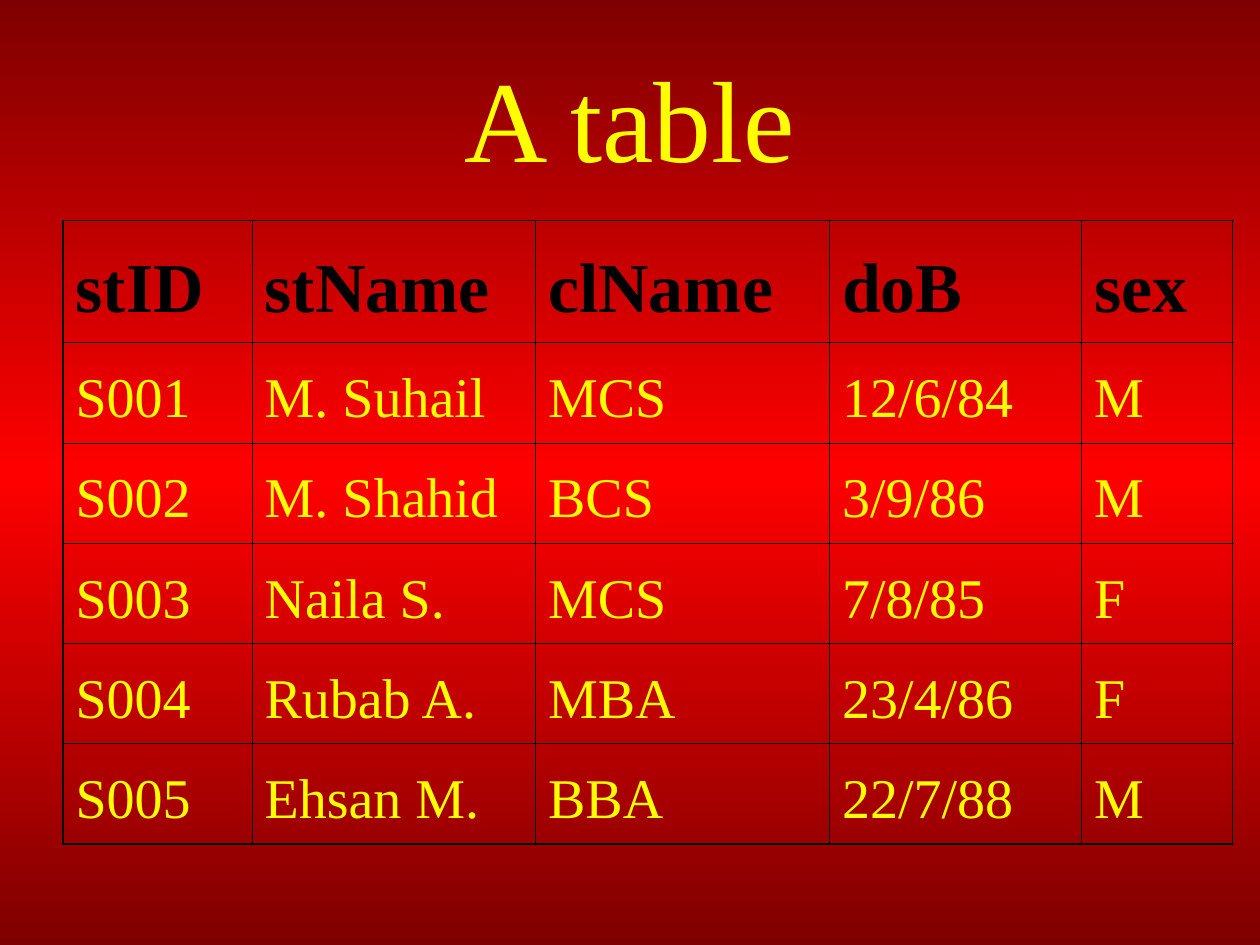
import copy

import pptx
import pptx.dml.color
import pptx.enum.text
import pptx.oxml.ns
import pptx.util
from lxml import etree

Pt = pptx.util.Pt
qn = pptx.oxml.ns.qn
FONT = "Times New Roman"
YELLOW, BLACK = "FFFF00", "000000"
DARK_RED, RED = "7F0000", "FF0000"
OUTER_WIDTH, INNER_WIDTH = 1.08, 0.45
COLUMN_WIDTHS = [108, 162, 168, 144, 86.4]
ROW_HEIGHTS = [69.84] + [57.3] * 5
RECORDS = [
    ["stID", "stName", "clName", "doB", "sex"],
    ["S001", "M. Suhail", "MCS", "12/6/84", "M"],
    ["S002", "M. Shahid", "BCS", "3/9/86", "M"],
    ["S003", "Naila S.", "MCS", "7/8/85", "F"],
    ["S004", "Rubab A.", "MBA", "23/4/86", "F"],
    ["S005", "Ehsan M.", "BBA", "22/7/88", "M"],
]


def color(value):
    """Turn a hex string into a colour."""
    return pptx.dml.color.RGBColor.from_string(value)


def set_font(para, size, value, bold=False):
    """Set the font of a whole paragraph."""
    para.font.name = FONT
    para.font.size = Pt(size)
    para.font.bold = bold
    para.font.color.rgb = color(value)


def paint_background(page):
    """Fill the page with a vertical gradient, brightest in the middle."""
    fill = page.background.fill
    fill.gradient()
    fill.gradient_angle = 270
    stop_list = page.element.find(".//" + qn("a:gsLst"))
    stop_list.append(copy.deepcopy(stop_list[-1]))
    for stop, position, value in zip(
        fill.gradient_stops, (0, 0.5, 1), (DARK_RED, RED, DARK_RED)
    ):
        stop.position = position
        stop.color.rgb = color(value)


def place_title(page, text, box):
    """Put the heading in the title placeholder."""
    title = page.shapes.title
    title.left, title.top, title.width, title.height = map(Pt, box)
    frame = title.text_frame
    frame.text = text
    frame.vertical_anchor = pptx.enum.text.MSO_ANCHOR.MIDDLE
    para = frame.paragraphs[0]
    para.alignment = pptx.enum.text.PP_ALIGN.CENTER
    set_font(para, 66, YELLOW)


def draw_borders(cell, widths):
    """Draw the left, right, top and bottom borders of a cell."""
    properties = cell._tc.get_or_add_tcPr()
    for side, width in zip("LRTB", widths):
        line = etree.SubElement(properties, qn(f"a:ln{side}"), w=str(Pt(width)))
        solid = etree.SubElement(line, qn("a:solidFill"))
        etree.SubElement(solid, qn("a:srgbClr"), val=BLACK)


def place_table(page, records, box):
    """Add the table of students with a heavier outline."""
    row_count, column_count = len(records), len(records[0])
    table = page.shapes.add_table(row_count, column_count, *map(Pt, box)).table
    table.first_row = False
    table.horz_banding = False
    for column, width in zip(table.columns, COLUMN_WIDTHS):
        column.width = Pt(width)
    for row, height in zip(table.rows, ROW_HEIGHTS):
        row.height = Pt(height)
    for r, record in enumerate(records):
        for c, text in enumerate(record):
            cell = table.cell(r, c)
            cell.text = text
            on_outline = (c == 0, c == column_count - 1, r == 0, r == row_count - 1)
            draw_borders(
                cell, [OUTER_WIDTH if edge else INNER_WIDTH for edge in on_outline]
            )
            cell.fill.background()
            para = cell.text_frame.paragraphs[0]
            para.line_spacing = 1.3
            if r == 0:
                set_font(para, 40, BLACK, bold=True)
            else:
                set_font(para, 32, YELLOW)


def main():
    """Build the deck and save it."""
    deck = pptx.Presentation()
    deck.slide_width, deck.slide_height = Pt(720), Pt(540)
    page = deck.slides.add_slide(deck.slide_layouts[5])
    paint_background(page)
    place_title(page, "A table", (36, 21.6, 648, 90))
    place_table(page, RECORDS, (36, 126, sum(COLUMN_WIDTHS), sum(ROW_HEIGHTS)))
    deck.save("out.pptx")


if __name__ == "__main__":
    main()
